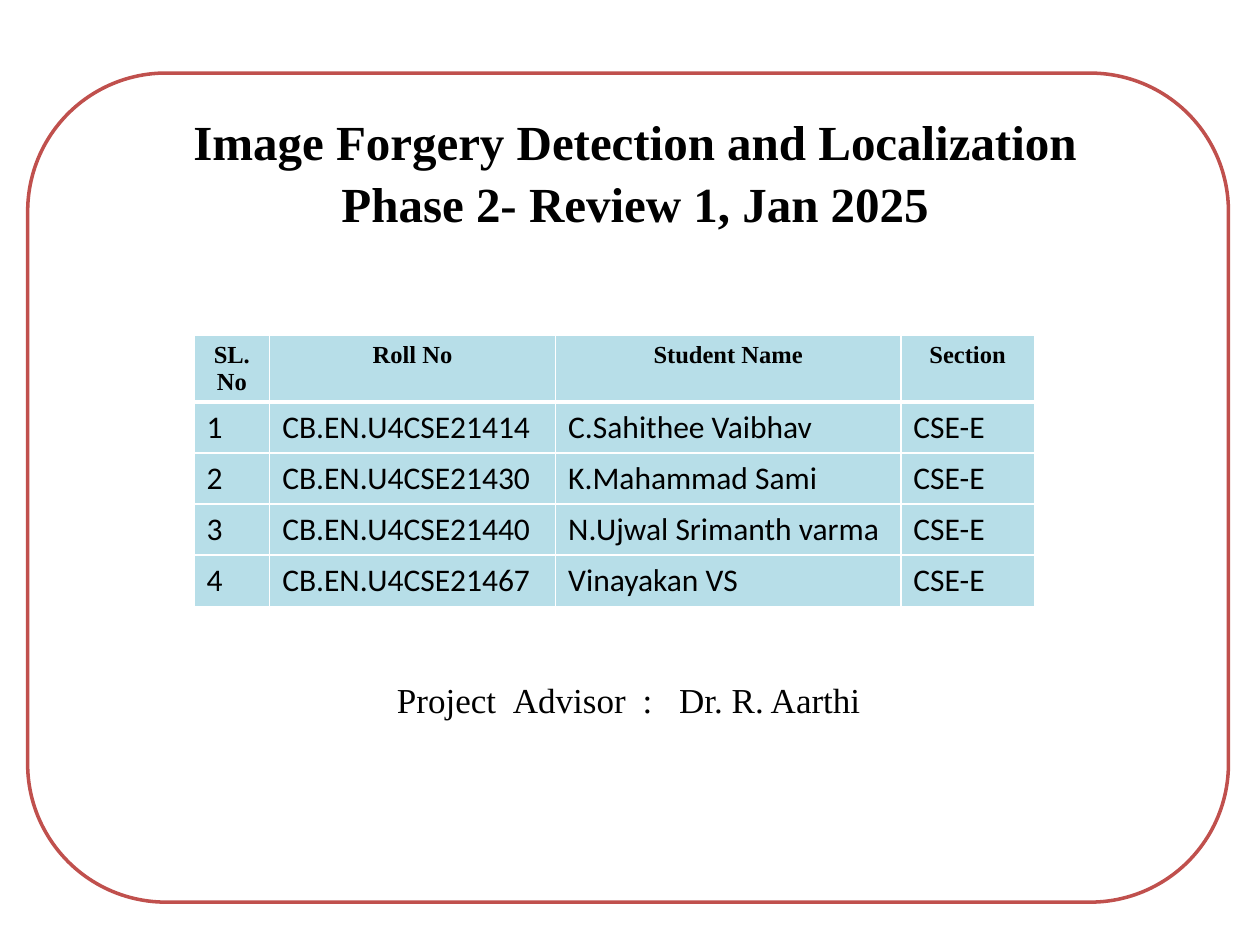
"""Build the title slide of a project review with its team table and advisor."""
from dataclasses import dataclass

from lxml import etree
from pptx import Presentation
from pptx.dml.color import RGBColor
from pptx.enum.shapes import MSO_SHAPE
from pptx.enum.text import MSO_ANCHOR, PP_ALIGN
from pptx.oxml.ns import qn
from pptx.util import Inches, Pt

ROUNDED = MSO_SHAPE.ROUNDED_RECTANGLE
MIDDLE = MSO_ANCHOR.MIDDLE
LEFT, CENTER = PP_ALIGN.LEFT, PP_ALIGN.CENTER
COLORS = {"white": "FFFFFF", "black": "000000", "frame": "C0504D", "cell": "B7DEE8"}
SERIF, SANS = "Times New Roman", "Calibri"
TITLE_FONT = {"name": SERIF, "size": Pt(28), "bold": True}
HEADER_FONT = {"name": SERIF, "size": Pt(14), "bold": True}
BODY_FONT = {"name": SANS, "size": Pt(18), "bold": False}
ADVISOR_FONT = {"name": SERIF, "size": Pt(20), "bold": False}
ADVISOR_TABS = (0.92, 1.95, 2.24)
TITLE = "Image Forgery Detection and Localization\vPhase 2- Review 1, Jan 2025"
ADVISOR = "Project\tAdvisor\t:\tDr. R. Aarthi"


@dataclass
class Column:
    heading: str
    width: float


@dataclass
class Student:
    roll_no: str
    name: str
    section: str = "CSE-E"


COLUMNS = [
    Column("SL.\vNo", 0.6),
    Column("Roll No", 2.27),
    Column("Student Name", 2.74),
    Column("Section", 1.06),
]
STUDENTS = [
    Student("CB.EN.U4CSE21414", "C.Sahithee Vaibhav"),
    Student("CB.EN.U4CSE21430", "K.Mahammad Sami"),
    Student("CB.EN.U4CSE21440", "N.Ujwal Srimanth varma"),
    Student("CB.EN.U4CSE21467", "Vinayakan VS"),
]


def color(name: str) -> RGBColor:
    return RGBColor.from_string(COLORS[name])


def write(tf, text: str, font: dict, align, tabs: tuple = ()) -> None:
    p = tf.paragraphs[0]
    p.text = text
    p.alignment = align
    if tabs:
        tab_list = etree.SubElement(p._p.get_or_add_pPr(), qn("a:tabLst"))
        for pos in tabs:
            etree.SubElement(tab_list, qn("a:tab"), pos=str(Inches(pos)), algn="l")
    for r in p.runs:
        for key, value in font.items():
            setattr(r.font, key, value)
        r.font.color.rgb = color("black")


def add_borders(cell, top: float, bottom: float) -> None:
    tc_pr = cell._tc.get_or_add_tcPr()
    for side, width in (("L", 1), ("R", 1), ("T", top), ("B", bottom)):
        ln = etree.SubElement(tc_pr, qn(f"a:ln{side}"), w=str(Pt(width)))
        fill = etree.SubElement(ln, qn("a:solidFill"))
        etree.SubElement(fill, qn("a:srgbClr"), val=COLORS["white"])


def add_title(s) -> None:
    sp = s.shapes.title
    sp.left, sp.top, sp.width, sp.height = map(Inches, (0.79, 0.75, 8.5, 1.2))
    tf = sp.text_frame
    tf.vertical_anchor = MIDDLE
    write(tf, TITLE, TITLE_FONT, CENTER)
    tf.paragraphs[0].line_spacing = 1.05


def add_frame(s) -> None:
    sp = s.shapes.add_shape(ROUNDED, *map(Inches, (0.22, 0.58, 9.53, 6.58)))
    sp.shadow.inherit = False
    sp.fill.solid()
    sp.fill.fore_color.rgb = color("white")
    sp.line.color.rgb = color("frame")
    sp.line.width = Pt(2)
    tf = sp.text_frame
    tf.word_wrap = True
    tf.vertical_anchor = MIDDLE
    tf.margin_left, tf.margin_top = Inches(2.61), Inches(3.42)
    write(tf, ADVISOR, ADVISOR_FONT, LEFT, ADVISOR_TABS)
    s.shapes.title.element.addprevious(sp.element)


def add_team_table(s) -> None:
    rows = [[c.heading for c in COLUMNS]]
    rows += [[str(i), st.roll_no, st.name, st.section] for i, st in enumerate(STUDENTS, 1)]
    table = s.shapes.add_table(
        len(rows), len(COLUMNS), *map(Inches, (1.54, 2.66, 6.67, 2.15))
    ).table
    for column, spec in zip(table.columns, COLUMNS):
        column.width = Inches(spec.width)
    for i, row in enumerate(rows):
        header = i == 0
        table.rows[i].height = Inches(0.53 if header else 0.405)
        for j, text in enumerate(row):
            cell = table.cell(i, j)
            add_borders(cell, 3 if i == 1 else 1, 3 if header else 1)
            cell.fill.solid()
            cell.fill.fore_color.rgb = color("cell")
            write(cell.text_frame, text, HEADER_FONT if header else BODY_FONT,
                  CENTER if header else LEFT)


def main() -> None:
    prs = Presentation()
    prs.slide_width, prs.slide_height = Inches(10), Inches(7.5)
    s = prs.slides.add_slide(prs.slide_layouts[0])
    subtitle = s.placeholders[1].element
    subtitle.getparent().remove(subtitle)
    add_title(s)
    add_frame(s)
    add_team_table(s)
    prs.save("out.pptx")


if __name__ == "__main__":
    main()
